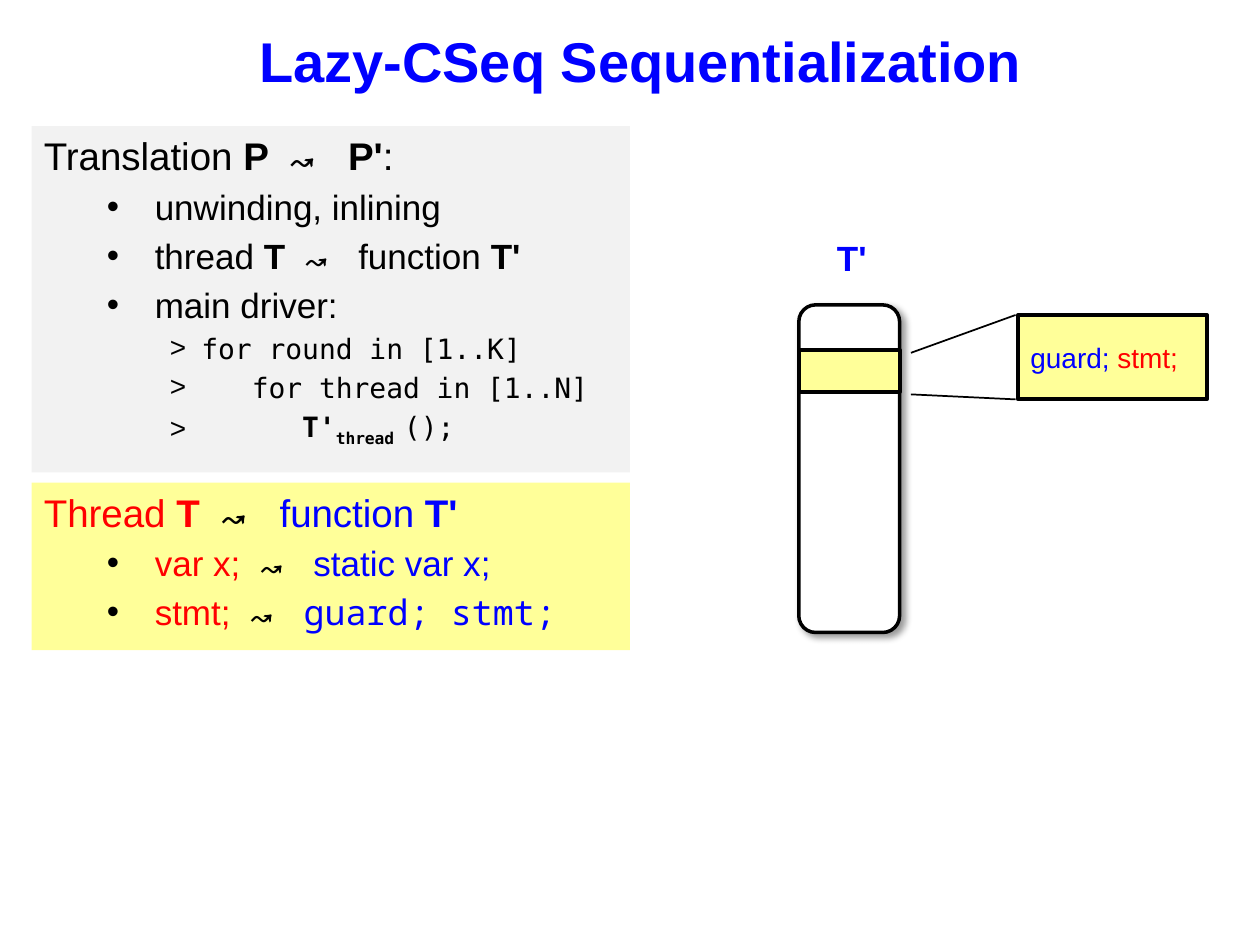
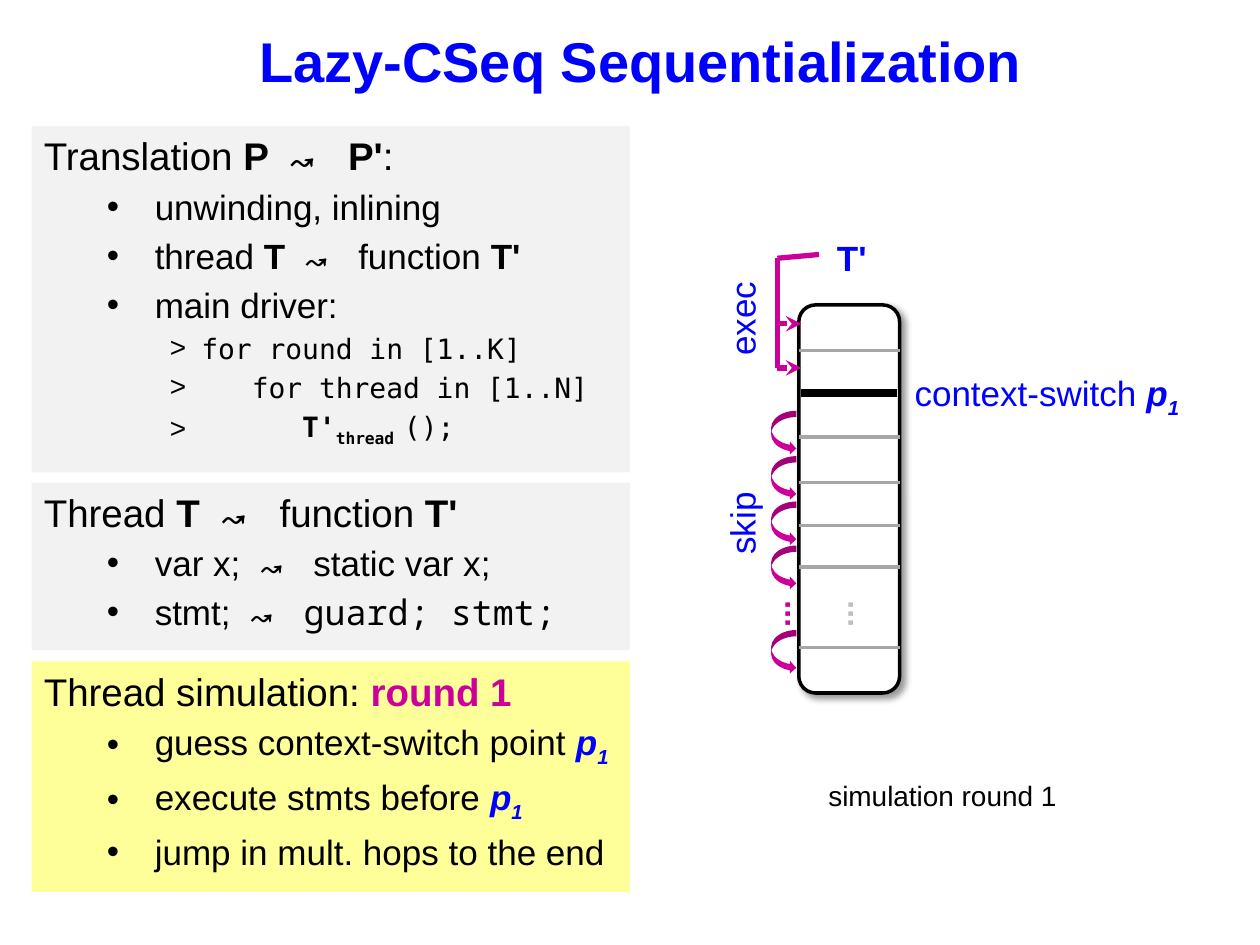
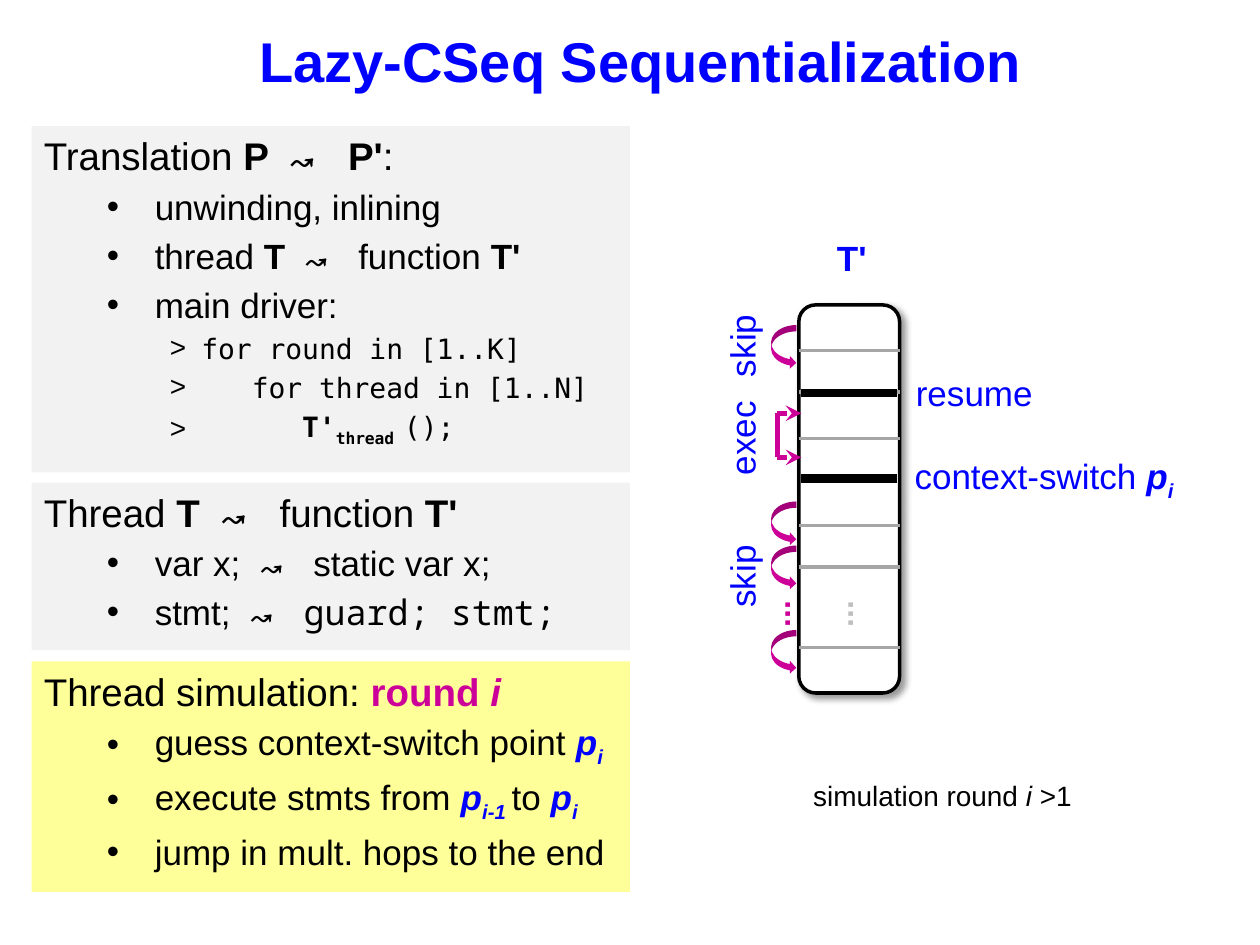
import pptx
import pptx.util
import pptx.dml.color
import pptx.enum.shapes
import pptx.enum.text
import pptx.oxml
import pptx.oxml.ns

Inches = pptx.util.Inches
RGBColor = pptx.dml.color.RGBColor
Shapes = pptx.enum.shapes.MSO_SHAPE
CENTER = pptx.enum.text.PP_ALIGN.CENTER
LEFT = pptx.enum.text.PP_ALIGN.LEFT
MIDDLE = pptx.enum.text.MSO_ANCHOR.MIDDLE
TOP = pptx.enum.text.MSO_ANCHOR.TOP

BLACK = RGBColor(0, 0, 0)
WHITE = RGBColor(255, 255, 255)
BLUE = RGBColor(0, 0, 255)
RED = RGBColor(255, 0, 0)
MAGENTA = RGBColor(204, 0, 153)
YELLOW = RGBColor(255, 255, 153)
PANEL_GRAY = RGBColor(242, 242, 242)
RULE_GRAY = RGBColor(166, 166, 166)
DOT_GRAY = RGBColor(191, 191, 191)

SANS, SYMBOL, CODE = "Arial", "Noto Sans Mono", "DejaVu Sans Mono"
BOLD = {"bold": True}
ARROW = ("↝ ", {"bold": True, "font": SYMBOL})
POINT = {"color": BLUE, "bold": True, "italic": True}
INDEX = {**POINT, "base": -25}
ROUND = {"color": MAGENTA, "bold": True}

HEADING = {"size": 22}
ITEM = {"size": 20, "margin": 0.88, "hanging": 0.38, "bullet": "•"}


def code_level(depth):
    """Return the paragraph style of a code line nested to the given depth."""
    shift = 0.4 * depth
    return {"size": 16, "margin": 1.25 + shift, "hanging": 0.25 + shift, "bullet": ">"}


TRANSLATION = [
    (HEADING, [("Translation ", {}), ("P ", BOLD), ARROW, ("P'", BOLD), (":", {})]),
    (ITEM, [("unwinding, inlining", {})]),
    (ITEM, [("thread ", {}), ("T ", BOLD), ARROW, ("function ", {}), ("T'", BOLD)]),
    (ITEM, [("main driver:", {})]),
    (code_level(0), [("for round in [1..K]", {"font": CODE})]),
    (code_level(1), [("for thread in [1..N]", {"font": CODE})]),
    (code_level(2), [("T'", {"font": CODE, "bold": True}),
                     ("thread ", {"font": CODE, "bold": True, "base": -25}),
                     ("();", {"font": CODE})]),
]


def thread_rules(before, after):
    """Return the thread panel, coloured before and after translation."""
    source, target = {"color": before}, {"color": after}
    return [
        (HEADING, [("Thread ", source), ("T ", {**source, **BOLD}), ARROW,
                   ("function ", target), ("T'", {**target, **BOLD})]),
        (ITEM, [("var x; ", source), ARROW, ("static var x;", target)]),
        (ITEM, [("stmt; ", source), ARROW, ("guard; stmt;", {**target, "font": SYMBOL})]),
    ]


def simulation_rules(round_runs, index, execute_runs):
    """Return the simulation panel of one round."""
    return [
        (HEADING, [("Thread simulation: ", {})] + round_runs),
        (ITEM, [("guess context-switch point ", {}), ("p", POINT), (index, INDEX)]),
        (ITEM, execute_runs),
        (ITEM, [("jump in mult. hops to the end", {})]),
    ]


def write(paragraph, text, size=20, font=SANS, color=BLACK, bold=False, italic=False, base=0):
    """Add one formatted run of text to a paragraph."""
    run = paragraph.add_run()
    run.text = text
    run.font.size = pptx.util.Pt(size)
    run.font.name = font
    run.font.color.rgb = color
    run.font.bold = bold
    run.font.italic = italic
    if base:
        run.font._element.set("baseline", str(base * 1000))


def add_xml(parent, tag, content="", **attributes):
    """Append a drawing element to a parent."""
    listed = "".join(f' {name}="{value}"' for name, value in attributes.items())
    namespace = pptx.oxml.ns.nsdecls("a")
    parent.append(pptx.oxml.parse_xml(f"<a:{tag} {namespace}{listed}>{content}</a:{tag}>"))


class Deck:
    """Holds the shared style and the current slide."""

    def __init__(self):
        """Start an empty presentation."""
        self.presentation = pptx.Presentation()
        self.presentation.slide_width = Inches(10)
        self.presentation.slide_height = Inches(7.5)
        self.slide = None

    def start_slide(self):
        """Add a slide with the title and the translation panel."""
        self.slide = self.presentation.slides.add_slide(self.presentation.slide_layouts[6])
        self.label(0.25, 0.08, 9.67, 0.79, [("Lazy-CSeq Sequentialization", {"bold": True})],
                   size=32, align=CENTER, anchor=MIDDLE)
        self.panel(1, 2.75, PANEL_GRAY, TRANSLATION)

    def shape(self, kind, left, top, width, height, fill, line_width=0):
        """Add a filled preset shape, outlined in black if a width is given."""
        shape = self.slide.shapes.add_shape(
            kind, Inches(left), Inches(top), Inches(width), Inches(height))
        shape.shadow.inherit = False
        shape.fill.solid()
        shape.fill.fore_color.rgb = fill
        if line_width:
            shape.line.color.rgb = BLACK
            shape.line.width = pptx.util.Pt(line_width)
        else:
            shape.line.fill.background()
        return shape

    def panel(self, top, height, fill, content):
        """Add a panel in the left column with its bulleted content."""
        frame = self.shape(Shapes.RECTANGLE, 0.25, top, 4.75, height, fill).text_frame
        frame.word_wrap = True
        frame.vertical_anchor = TOP
        for number, (level, runs) in enumerate(content):
            paragraph = frame.add_paragraph() if number else frame.paragraphs[0]
            paragraph.alignment = LEFT
            properties = paragraph._p.get_or_add_pPr()
            add_xml(properties, "spcBef", '<a:spcPct val="20000"/>')
            if "bullet" in level:
                properties.set("marL", str(Inches(level["margin"])))
                properties.set("indent", str(-Inches(level["hanging"])))
                add_xml(properties, "buClr", f'<a:srgbClr val="{BLACK}"/>')
                add_xml(properties, "buFont", typeface=SANS)
                add_xml(properties, "buChar", char=level["bullet"].replace(">", "&gt;"))
            for text, style in runs:
                write(paragraph, text, size=level["size"], **style)

    def label(self, left, top, width, height, runs, size=20, color=BLUE,
              align=LEFT, anchor=TOP, rotation=0):
        """Add a one-paragraph text box."""
        box = self.slide.shapes.add_textbox(
            Inches(left), Inches(top), Inches(width), Inches(height))
        box.rotation = rotation
        box.text_frame.word_wrap = True
        box.text_frame.vertical_anchor = anchor
        paragraph = box.text_frame.paragraphs[0]
        paragraph.alignment = align
        for text, style in runs:
            write(paragraph, text, **{"size": size, "color": color, **style})
        return box

    def line(self, start, end, color=BLACK, width=2, arrow=False):
        """Add a straight line, with an arrowhead at its end if asked."""
        connector = self.slide.shapes.add_connector(
            pptx.enum.shapes.MSO_CONNECTOR.STRAIGHT,
            *(Inches(value) for value in (*start, *end)))
        connector.line.color.rgb = color
        connector.line.width = pptx.util.Pt(width)
        if arrow:
            add_xml(connector.line._get_or_add_ln(), "tailEnd", type="stealth")
        add_xml(connector._element.spPr, "effectLst")

    def function_body(self, height):
        """Add the shadowed outline of the function and its name."""
        body = self.shape(Shapes.ROUNDED_RECTANGLE, 6.34, 2.42, 0.8, height, WHITE, 2)
        effects = body._element.spPr.find(pptx.oxml.ns.qn("a:effectLst"))
        add_xml(effects, "outerShdw",
                f'<a:srgbClr val="{BLACK}"><a:alpha val="40000"/></a:srgbClr>',
                blurRad=pptx.util.Pt(4), dist=pptx.util.Pt(3), dir=45 * 60000,
                algn="tl", rotWithShape=0)
        self.label(6.47, 1.83, 0.58, 0.44, [("T'", BOLD)], align=CENTER)

    def statements(self, tops):
        """Add the gray rules that separate statements."""
        for top in tops:
            self.line((6.34, top), (7.14, top), RULE_GRAY)

    def switches(self, tops):
        """Add the thick bars that mark context switches."""
        for top in tops:
            self.line((6.36, top), (7.12, top), width=5)

    def executed(self, top, bracket_top):
        """Add the bracket with arrows to two executed statements."""
        bottom = top + 0.35
        self.line((6.17, bracket_top), (6.17, bottom), MAGENTA, 3)
        for height in (top, bottom):
            self.line((6.17, height), (6.36, height), MAGENTA, 3, arrow=True)

    def hops(self, tops):
        """Add the curved arrows that jump over statements."""
        for top in tops:
            self.shape(Shapes.CURVED_RIGHT_ARROW, 6.12, top, 0.2, 0.35, MAGENTA)

    def ellipses(self):
        """Add the vertical dots for the omitted hops and statements."""
        for left, color in ((6.21, DOT_GRAY), (5.71, MAGENTA)):
            box = self.label(left, 4.54, 0.92, 0.67, [(" ... ", BOLD)], size=18, color=color,
                             align=CENTER, anchor=MIDDLE, rotation=270)
            box.text_frame.margin_top = box.text_frame.margin_bottom = 0

    def phases(self, phases):
        """Add the rotated phase names beside the function."""
        for name, top in phases:
            self.label(5.43, top, 0.92, 0.44, [(name, {})], rotation=270)

    def switch_name(self, top, index):
        """Add the name of a context-switch point."""
        self.label(7.16, top, 2.59, 0.44,
                   [("context-switch ", {}), ("p", POINT), (index, INDEX)])

    def simulation(self, rules, caption):
        """Add the panels, function and caption shared by the simulation slides."""
        self.start_slide()
        self.panel(3.83, 1.33, PANEL_GRAY, thread_rules(BLACK, BLACK))
        self.panel(5.25, 1.83, YELLOW, rules)
        self.function_body(3.08)
        self.ellipses()
        self.label(5.52, 6.13, 3.92, 0.37, caption, size=16, color=BLACK,
                   align=CENTER, anchor=MIDDLE)


def build_translation(deck):
    """Build the slide on translating a thread."""
    deck.start_slide()
    deck.panel(3.83, 1.33, YELLOW, thread_rules(RED, BLUE))
    deck.function_body(2.6)
    deck.line((7.23, 2.8), (8.06, 2.5), width=1)
    deck.line((7.23, 3.13), (8.06, 3.17), width=1)
    deck.shape(Shapes.RECTANGLE, 6.34, 2.78, 0.8, 0.33, YELLOW, 2.25)
    deck.shape(Shapes.RECTANGLE, 8.08, 2.5, 1.5, 0.67, YELLOW, 2.25)
    deck.label(8.08, 2.5, 1.5, 0.67, [("guard; ", {}), ("stmt;", {"color": RED})],
               size=16, anchor=MIDDLE)


def build_first_round(deck):
    """Build the slide on the first simulation round."""
    execute = [("execute stmts before ", {}), ("p", POINT), ("1", INDEX)]
    deck.simulation(simulation_rules([("round 1", ROUND)], "1", execute),
                    [("simulation round 1", {})])
    deck.statements((2.78, 3.47, 3.83, 4.17, 4.5, 5.14))
    deck.line((6.17, 2.05), (6.5, 2.02), MAGENTA, 3)
    deck.executed(2.57, bracket_top=2.05)
    deck.switches([3.12])
    deck.hops((3.26, 3.62, 3.98, 4.33, 5))
    deck.phases((("exec", 2.24), ("skip", 3.82)))
    deck.switch_name(2.9, "1")


def build_later_round(deck):
    """Build the slide on the later simulation rounds."""
    execute = [("execute stmts from ", {}), ("p", POINT), ("i-1 ", INDEX),
               ("to ", {}), ("p", POINT), ("i", INDEX)]
    round_runs = [("round ", ROUND), ("i", {**ROUND, "italic": True})]
    deck.simulation(simulation_rules(round_runs, "i", execute),
                    [("simulation round ", {}), ("i", {"italic": True}), (" >1", {})])
    deck.statements((2.78, 3.11, 3.48, 4.17, 4.5, 5.14))
    deck.executed(3.28, bracket_top=3.28)
    deck.switches((3.12, 3.8))
    deck.hops((2.58, 3.98, 4.33, 5))
    deck.phases((("skip", 2.41), ("exec", 3.19), ("skip", 4.24)))
    deck.label(7.17, 2.9, 2.08, 0.44, [("resume", {})])
    deck.switch_name(3.56, "i")


def main():
    """Build and save the presentation."""
    deck = Deck()
    build_translation(deck)
    build_first_round(deck)
    build_later_round(deck)
    deck.presentation.save("out.pptx")


if __name__ == "__main__":
    main()
